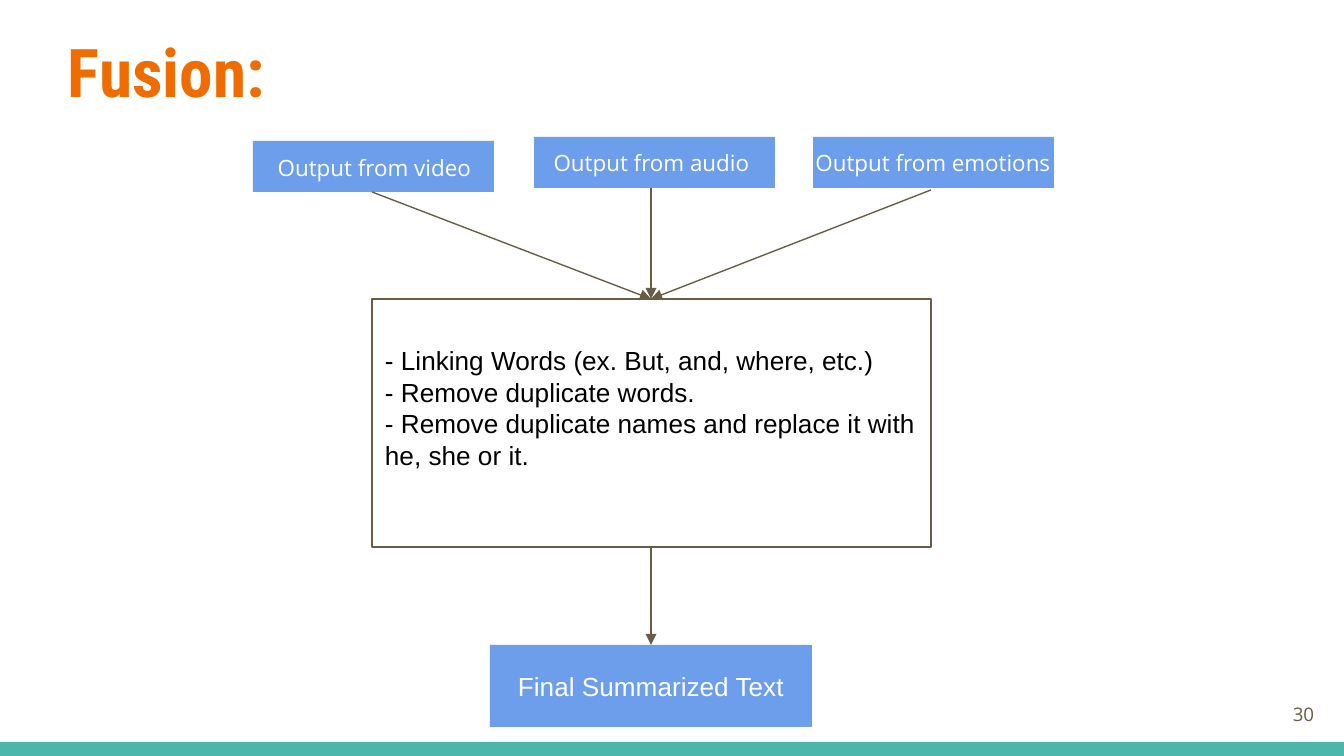
from lxml import etree
from pptx import Presentation
from pptx import util as u
from pptx.dml.color import RGBColor
from pptx.enum import shapes, text
from pptx.oxml import ns

SCALE = 9144000 / 1344
INSET = 13
WHITE = RGBColor(0xFF, 0xFF, 0xFF)
BLACK = RGBColor(0x00, 0x00, 0x00)
TEAL = RGBColor(0x4D, 0xB6, 0xAC)
BLUE = RGBColor(0x6D, 0x9E, 0xEB)
BROWN = RGBColor(0x69, 0x5D, 0x46)
ORANGE = RGBColor(0xEF, 0x6C, 0x00)
CENTER = text.PP_ALIGN.CENTER
LEFT = text.PP_ALIGN.LEFT
RIGHT = text.PP_ALIGN.RIGHT
MIDDLE = text.MSO_ANCHOR.MIDDLE
TOP = text.MSO_ANCHOR.TOP

SOURCES = [
    ("Output from video", (253, 141), (254, 141, 241, 43)),
    ("Output from audio", (534, 137), (531, 136, 241, 43)),
    ("Output from emotions", (813, 137), (792, 136, 282, 43)),
]
FUSION_STEPS = [
    "- Linking Words (ex. But, and, where, etc.)",
    "- Remove duplicate words.",
    "- Remove duplicate names and replace it with he, she or it.",
]
ARROWS = [
    ((372, 192), (651, 299)),
    ((651, 188), (651, 299)),
    ((931, 190), (651, 299)),
    ((651, 547), (651, 645)),
]


def px(*lengths):
    """Turn pixel lengths into EMU."""
    return [u.Emu(round(length * SCALE)) for length in lengths]


def write(shape, lines, font, size, color, align=LEFT, anchor=TOP, bold=False, bottom=INSET):
    """Fill a shape with one paragraph per line."""
    frame = shape.text_frame
    frame.word_wrap = True
    frame.vertical_anchor = anchor
    frame.margin_left, frame.margin_top, frame.margin_right = px(INSET, INSET, INSET)
    frame.margin_bottom, = px(bottom)
    frame.text = "\n".join(lines)
    for paragraph in frame.paragraphs:
        paragraph.alignment = align
        paragraph.font.name = font
        paragraph.font.size = u.Pt(size)
        paragraph.font.bold = bold
        paragraph.font.color.rgb = color


def add_box(slide, place, fill=None, line=None):
    """Add a rectangle with an optional fill and outline."""
    shape = slide.shapes.add_shape(shapes.MSO_SHAPE.RECTANGLE, *px(*place))
    shape.shadow.inherit = False
    if fill is None:
        shape.fill.background()
    else:
        shape.fill.solid()
        shape.fill.fore_color.rgb = fill
    if line is None:
        shape.line.fill.background()
    else:
        shape.line.color.rgb = line
        shape.line.width = u.Pt(0.75)
    return shape


def add_label(slide, place, label, font, size, color, **style):
    """Add a text box with one line of text."""
    write(slide.shapes.add_textbox(*px(*place)), [label], font, size, color, **style)


def add_arrow(slide, start, end):
    """Add a straight connector with a triangular head at its end."""
    arrow = slide.shapes.add_connector(shapes.MSO_CONNECTOR.STRAIGHT, *px(*start, *end))
    arrow.line.color.rgb = BROWN
    arrow.line.width = u.Pt(0.75)
    etree.SubElement(arrow.line._get_or_add_ln(), ns.qn("a:tailEnd"), type="triangle")
    etree.SubElement(arrow._element.spPr, ns.qn("a:effectLst"))


def main():
    """Build the fusion slide."""
    presentation = Presentation()
    presentation.slide_width, presentation.slide_height = px(1344, 756)
    slide = presentation.slides.add_slide(presentation.slide_layouts[6])

    add_box(slide, (0, 742, 1344, 14), TEAL)
    add_label(slide, (55, 17, 441, 114), "Fusion:", "Roboto Condensed", 36, ORANGE, bold=True)
    add_label(slide, (1246, 685, 81, 58), "30", "Open Sans", 10, BROWN, align=RIGHT, anchor=MIDDLE)

    for label, corner, label_place in SOURCES:
        add_box(slide, (*corner, 241, 51), BLUE)
        add_label(slide, label_place, label, "Open Sans", 12, WHITE, align=CENTER)

    steps = add_box(slide, (372, 299, 559, 248), line=BROWN)
    write(steps, FUSION_STEPS, "Arial", 14, BLACK, anchor=MIDDLE, bottom=44)
    result = add_box(slide, (490, 645, 322, 82), BLUE)
    write(result, ["Final Summarized Text"], "Arial", 14, WHITE, align=CENTER, anchor=MIDDLE)

    for start, end in ARROWS:
        add_arrow(slide, start, end)
    presentation.save("out.pptx")


if __name__ == "__main__":
    main()
